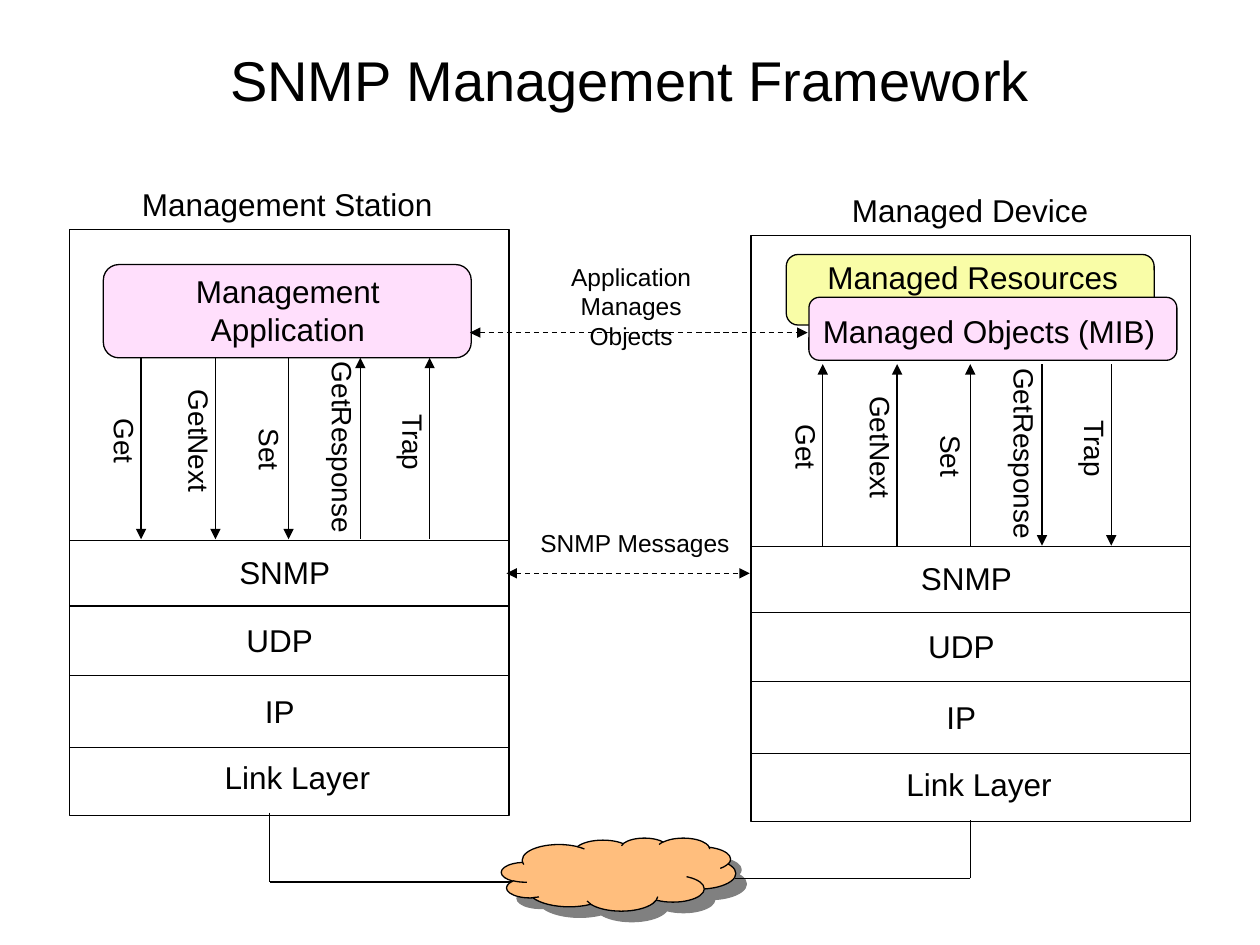
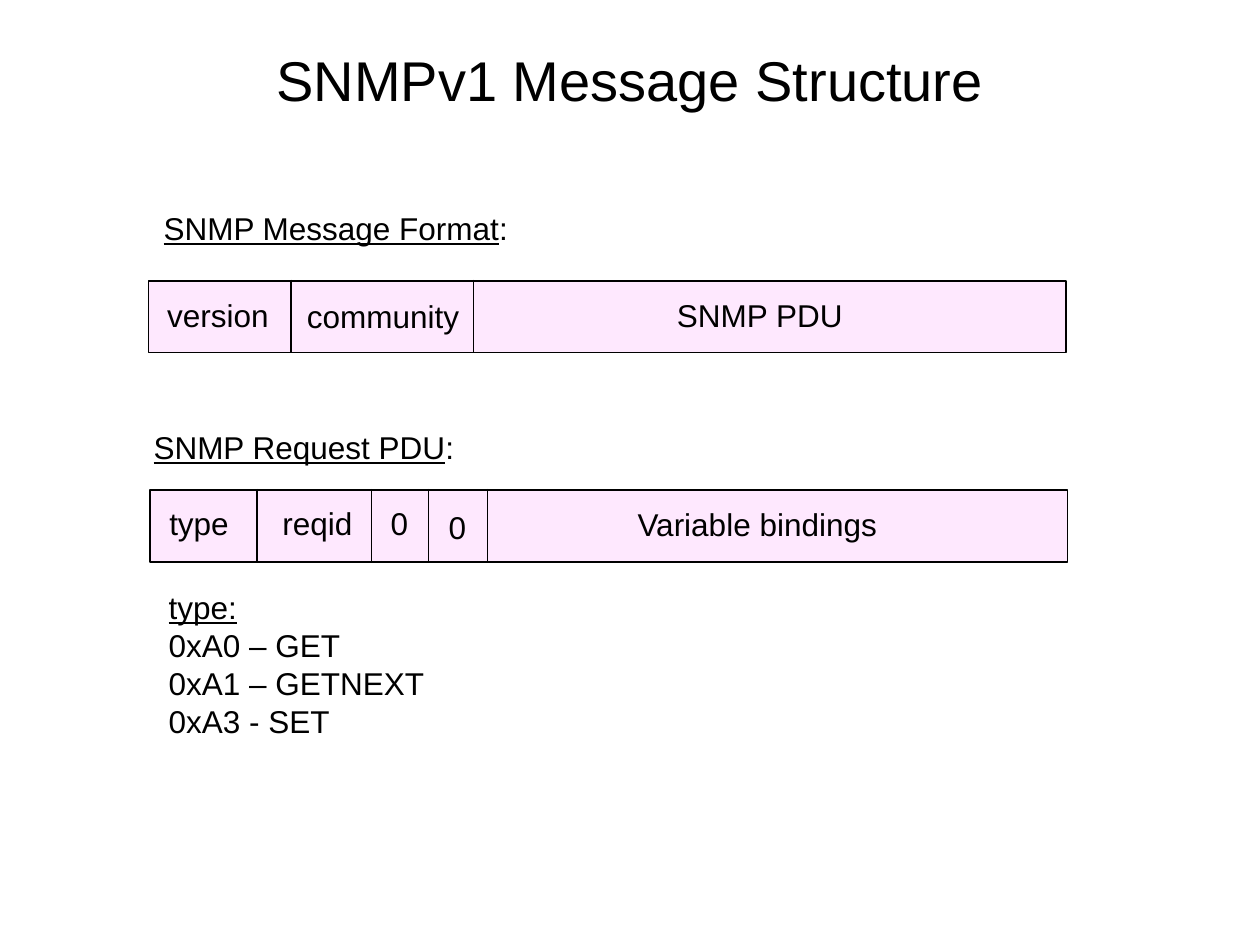
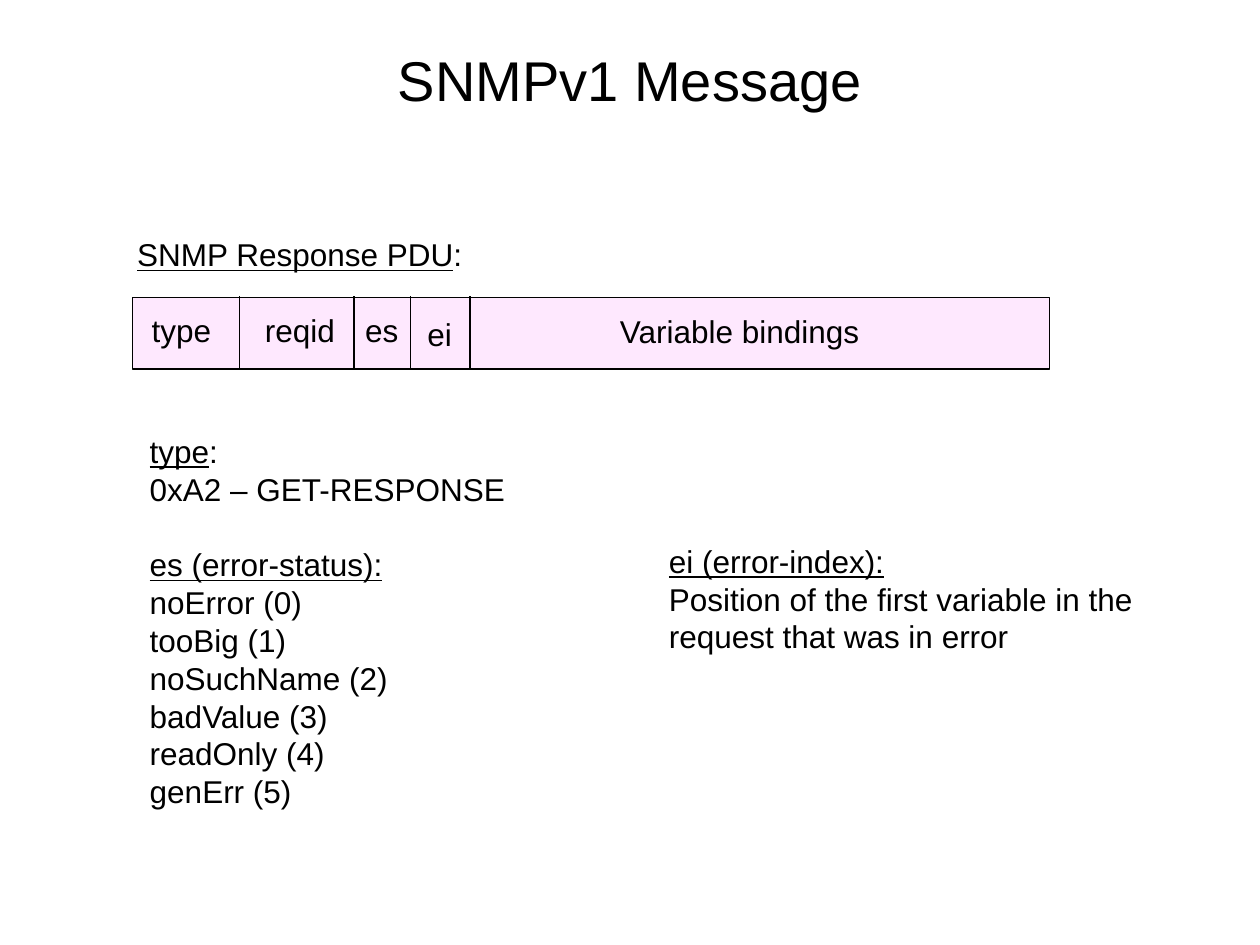
from dataclasses import dataclass

import lxml.etree
import pptx
import pptx.dml.color
import pptx.enum.dml
import pptx.enum.shapes
import pptx.enum.text
import pptx.oxml.ns
import pptx.shapes.autoshape
import pptx.shapes.connector
import pptx.slide
import pptx.util

Inches = pptx.util.Inches
Pt = pptx.util.Pt
RGBColor = pptx.dml.color.RGBColor
MSO_SHAPE = pptx.enum.shapes.MSO_SHAPE
PP_ALIGN = pptx.enum.text.PP_ALIGN
MSO_ANCHOR = pptx.enum.text.MSO_ANCHOR
qn = pptx.oxml.ns.qn

BLACK = RGBColor(0x00, 0x00, 0x00)
WHITE = RGBColor(0xFF, 0xFF, 0xFF)
PINK = RGBColor(0xFF, 0xDF, 0xFC)
PALE_PINK = RGBColor(0xFE, 0xE8, 0xFE)
YELLOW = RGBColor(0xF9, 0xFD, 0xA7)
ORANGE = RGBColor(0xFF, 0xBE, 0x7D)
GREY = RGBColor(0x80, 0x80, 0x80)
FONT = "Arial"
LINE_WIDTH = Pt(0.75)
BODY_SIZE = 18
LABEL_HEIGHT = 0.4
STACK_WIDTH, STACK_HEIGHT = 3.49, 4.65
BAR_WIDTH, BAR_HEIGHT = 7.28, 0.57


@dataclass(frozen=True)
class Run:
    text: str
    underline: bool = False


@dataclass(frozen=True)
class Para:
    runs: tuple[Run, ...]
    space_before: float = 0


@dataclass(frozen=True)
class Layer:
    name: str
    line_y: float
    text_y: float
    center: float
    width: float


@dataclass(frozen=True)
class Message:
    name: str
    arrow_x: float
    center_x: float
    center_y: float
    width: float
    is_request: bool


@dataclass(frozen=True)
class Field:
    name: str
    center: float
    width: float
    drop: float


LAYERS = (
    Layer("SNMP", 4.29, 4.34, 2.26, 0.92),
    Layer("UDP", 4.81, 4.88, 2.22, 0.73),
    Layer("IP", 5.36, 5.44, 2.22, 0.44),
    Layer("Link Layer", 5.93, 5.97, 2.36, 1.35),
)
MESSAGES = (
    Message("Get", 1.12, 0.99, 3.5, 0.56, True),
    Message("GetNext", 1.71, 1.58, 3.5, 1.02, True),
    Message("Set", 2.29, 2.14, 3.57, 0.53, True),
    Message("GetResponse", 2.86, 2.72, 3.55, 1.56, False),
    Message("Trap", 3.41, 3.28, 3.51, 0.66, False),
)
MESSAGE_DIVIDERS = (1.13, 2.58)
MESSAGE_FIELDS = (
    Field("version", 0.55, 1.01, 0.07),
    Field("community", 1.86, 1.41, 0.08),
    Field("SNMP PDU", 4.85, 1.52, 0.07),
)
PDU_DIVIDERS = (0.85, 1.76, 2.21, 2.68)


def pdu_fields(status: str, index: str) -> tuple[Field, ...]:
    return (
        Field("type", 0.39, 0.67, 0.06),
        Field("reqid", 1.33, 0.76, 0.06),
        Field(status, 1.98, 0.47, 0.06),
        Field(index, 2.44, 0.4, 0.09),
        Field("Variable bindings", 4.82, 2.12, 0.07),
    )


def plain(*lines: str) -> list[Para]:
    return [Para((Run(line),)) for line in lines]


def heading(text: str, tail: str = "", space_before: float = 0) -> Para:
    runs = (Run(text, True), Run(tail)) if tail else (Run(text, True),)
    return Para(runs, space_before)


def write(tf, paras: list[Para], size: float, align: PP_ALIGN) -> None:
    for i, para in enumerate(paras):
        p = tf.paragraphs[0] if i == 0 else tf.add_paragraph()
        p.alignment = align
        if para.space_before:
            p.space_before = Pt(para.space_before)
        for run in para.runs:
            r = p.add_run()
            r.text = run.text
            r.font.name = FONT
            r.font.size = Pt(size)
            r.font.color.rgb = BLACK
            if run.underline:
                r.font.underline = True


def add_text(s: pptx.slide.Slide, left: float, top: float, width: float, height: float,
             paras: list[Para], size: float = BODY_SIZE, align: PP_ALIGN = PP_ALIGN.LEFT,
             wrap: bool = False) -> pptx.shapes.autoshape.Shape:
    sp = s.shapes.add_textbox(Inches(left), Inches(top), Inches(width), Inches(height))
    tf = sp.text_frame
    tf.word_wrap = wrap
    tf.auto_size = pptx.enum.text.MSO_AUTO_SIZE.SHAPE_TO_FIT_TEXT
    write(tf, paras, size, align)
    return sp


def add_label(s: pptx.slide.Slide, text: str, center: float, top: float, width: float,
              height: float = LABEL_HEIGHT,
              size: float = BODY_SIZE) -> pptx.shapes.autoshape.Shape:
    return add_text(s, center - width / 2, top, width, height, plain(text), size, PP_ALIGN.CENTER)


def add_box(s: pptx.slide.Slide, kind: MSO_SHAPE, left: float, top: float, width: float,
            height: float, fill: RGBColor) -> pptx.shapes.autoshape.Shape:
    sp = s.shapes.add_shape(kind, Inches(left), Inches(top), Inches(width), Inches(height))
    sp.shadow.inherit = False
    sp.fill.solid()
    sp.fill.fore_color.rgb = fill
    sp.line.color.rgb = BLACK
    sp.line.width = LINE_WIDTH
    return sp


def add_line(s: pptx.slide.Slide, x1: float, y1: float, x2: float, y2: float,
             ends: tuple[str, ...] = (),
             dashed: bool = False) -> pptx.shapes.connector.Connector:
    cxn = s.shapes.add_connector(pptx.enum.shapes.MSO_CONNECTOR.STRAIGHT,
                                 Inches(x1), Inches(y1), Inches(x2), Inches(y2))
    cxn.line.color.rgb = BLACK
    cxn.line.width = LINE_WIDTH
    if dashed:
        cxn.line.dash_style = pptx.enum.dml.MSO_LINE.DASH
    sp_pr = cxn._element.spPr
    for end in ends:
        lxml.etree.SubElement(sp_pr.find(qn("a:ln")), qn(f"a:{end}"), type="triangle")
    lxml.etree.SubElement(sp_pr, qn("a:effectLst"))
    return cxn


def add_drop_shadow(sp: pptx.shapes.autoshape.Shape, color: RGBColor) -> None:
    effects = sp._element.spPr.find(qn("a:effectLst"))
    shadow = lxml.etree.SubElement(effects, qn("a:outerShdw"), dist=str(Pt(8.5)),
                                   dir="2700000", algn="ctr", rotWithShape="0")
    lxml.etree.SubElement(shadow, qn("a:srgbClr"), val=str(color))


def add_titled_slide(prs: pptx.presentation.Presentation, title: str) -> pptx.slide.Slide:
    s = prs.slides.add_slide(prs.slide_layouts[5])
    sp = s.shapes.title
    sp.left, sp.top, sp.width, sp.height = Inches(0.5), Inches(0), Inches(9), Inches(1.25)
    sp.text_frame.vertical_anchor = MSO_ANCHOR.MIDDLE
    write(sp.text_frame, plain(title), 32, PP_ALIGN.CENTER)
    return s


def add_stack(s: pptx.slide.Slide, dx: float, dy: float, is_station: bool) -> None:
    left = 0.55 + dx
    add_box(s, MSO_SHAPE.RECTANGLE, left, 1.82 + dy, STACK_WIDTH, STACK_HEIGHT, WHITE)
    for layer in LAYERS:
        y = layer.line_y + dy
        add_line(s, left, y, left + STACK_WIDTH, y)
        add_label(s, layer.name, layer.center + dx, layer.text_y + dy, layer.width)
    for message in MESSAGES:
        x = message.arrow_x + dx
        end = "tailEnd" if message.is_request == is_station else "headEnd"
        add_line(s, x, 2.84 + dy, x, 4.28 + dy, (end,))
        height = 0.37
        sp = add_label(s, message.name, message.center_x + dx,
                       message.center_y + dy - height / 2, message.width, height, 16)
        sp.rotation = 90


def add_field_bar(s: pptx.slide.Slide, left: float, top: float,
                  dividers: tuple[float, ...], fields: tuple[Field, ...]) -> None:
    add_box(s, MSO_SHAPE.RECTANGLE, left, top, BAR_WIDTH, BAR_HEIGHT, PALE_PINK)
    for divider in dividers:
        x = left + divider
        add_line(s, x, top - 0.01, x, top + BAR_HEIGHT)
    for field in fields:
        add_label(s, field.name, left + field.center, top + field.drop, field.width)


def build_framework(prs: pptx.presentation.Presentation) -> None:
    s = add_titled_slide(prs, "SNMP Management Framework")
    add_stack(s, 0, 0, True)
    add_box(s, MSO_SHAPE.ROUNDED_RECTANGLE, 0.82, 2.1, 2.92, 0.74, PINK)
    add_text(s, 1.42, 2.11, 1.73, 0.7, plain("Management", "Application"),
             align=PP_ALIGN.CENTER)
    add_label(s, "Management Station", 2.28, 1.42, 2.51)

    add_stack(s, 5.41, 0.05, False)
    add_label(s, "Managed Device", 7.7, 1.47, 2.08)
    add_box(s, MSO_SHAPE.ROUNDED_RECTANGLE, 6.24, 2.02, 2.92, 0.56, YELLOW)
    add_box(s, MSO_SHAPE.ROUNDED_RECTANGLE, 6.42, 2.36, 2.92, 0.5, PINK)
    add_label(s, "Managed Objects (MIB)", 7.85, 2.43, 3.55)
    add_label(s, "Managed Resources", 7.72, 2, 2.51)

    both_ends = ("headEnd", "tailEnd")
    add_line(s, 3.73, 2.64, 6.41, 2.64, both_ends, True)
    add_line(s, 4.02, 4.55, 5.95, 4.55, both_ends, True)
    add_label(s, "SNMP Messages", 5.04, 4.14, 1.7, 0.33, 14)
    add_text(s, 4.16, 2.03, 1.7, 0.57, plain("Application", "Manages Objects"), 14,
             PP_ALIGN.CENTER, True)

    add_line(s, 2.14, 6.45, 2.14, 7)
    add_line(s, 2.14, 7, 4.18, 7)
    cloud = add_box(s, MSO_SHAPE.CLOUD, 3.98, 6.65, 1.86, 0.58, ORANGE)
    add_drop_shadow(cloud, GREY)
    add_line(s, 5.83, 6.97, 7.7, 6.97)
    add_line(s, 7.7, 6.97, 7.7, 6.51)


def build_request(prs: pptx.presentation.Presentation) -> None:
    s = add_titled_slide(prs, "SNMPv1 Message Structure")
    add_text(s, 1.2, 1.61, 2.94, LABEL_HEIGHT, [heading("SNMP Message Format", ":")])
    add_field_bar(s, 1.18, 2.23, MESSAGE_DIVIDERS, MESSAGE_FIELDS)
    add_text(s, 1.12, 3.35, 2.59, LABEL_HEIGHT, [heading("SNMP Request PDU", ":")])
    add_field_bar(s, 1.19, 3.89, PDU_DIVIDERS, pdu_fields("0", "0"))
    add_text(s, 1.24, 4.62, 2.23, 1.3,
             [heading("type:"), *plain("0xA0 – GET", "0xA1 – GETNEXT", "0xA3 - SET")])


def build_response(prs: pptx.presentation.Presentation) -> None:
    s = add_titled_slide(prs, "SNMPv1 Message")
    add_text(s, 0.99, 1.82, 2.78, LABEL_HEIGHT, [heading("SNMP Response PDU", ":")])
    add_field_bar(s, 1.05, 2.36, PDU_DIVIDERS, pdu_fields("es", "ei"))
    errors = ("noError", "tooBig", "noSuchName", "badValue", "readOnly", "genErr")
    add_text(s, 1.09, 3.38, 3.03, 3.1, [
        heading("type", ":"),
        *plain("0xA2 – GET-RESPONSE"),
        heading("es (error-status):", space_before=21.6),
        *plain(*(f"{name} ({code})" for code, name in enumerate(errors))),
    ], wrap=True)
    sp = add_text(s, 5.21, 3.35, 4.02, 1.9, [
        heading("ei (error-index):"),
        *plain("Position of the first variable in the request that was in error"),
    ], wrap=True)
    sp.text_frame.auto_size = pptx.enum.text.MSO_AUTO_SIZE.NONE
    sp.text_frame.vertical_anchor = MSO_ANCHOR.BOTTOM


def main() -> None:
    prs = pptx.Presentation()
    prs.slide_width, prs.slide_height = Inches(10), Inches(7.5)
    build_framework(prs)
    build_request(prs)
    build_response(prs)
    prs.save("out.pptx")


if __name__ == "__main__":
    main()
